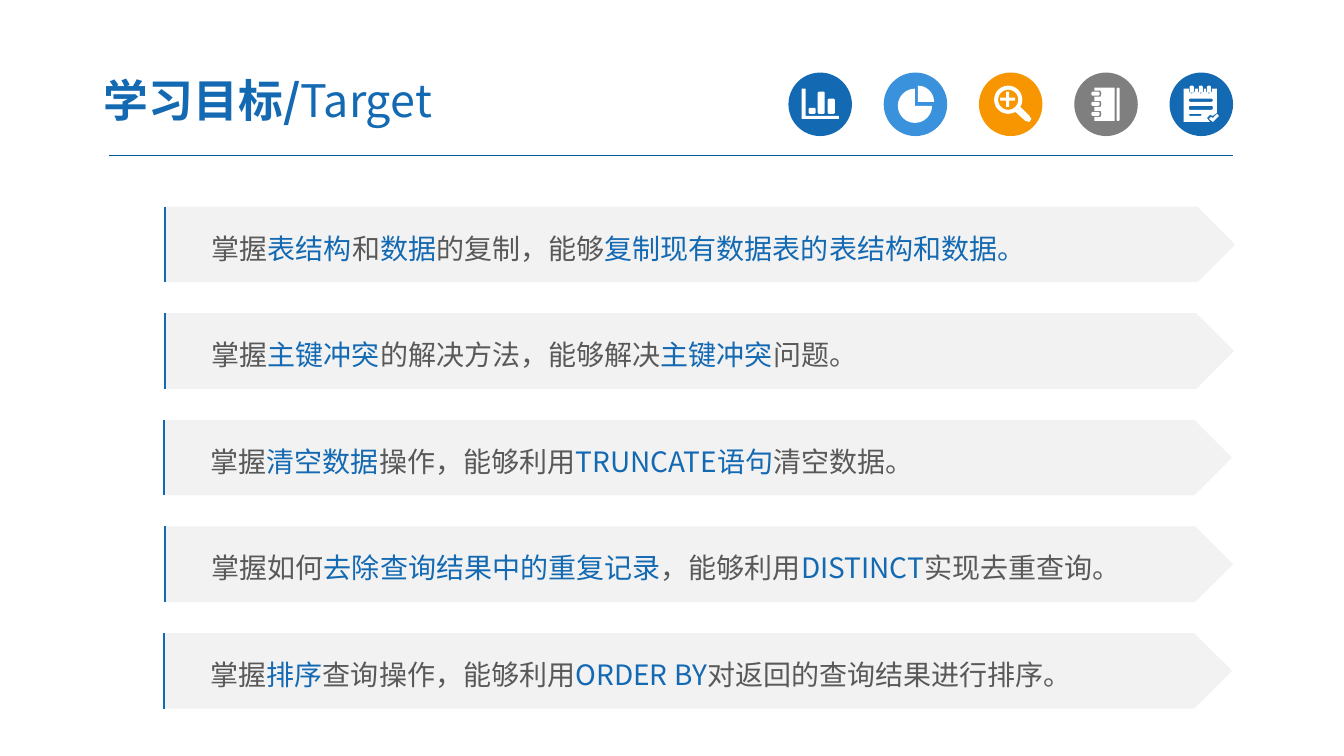
import math
import pptx
import pptx.util
import pptx.dml.color
import pptx.enum.shapes
import pptx.enum.text
import pptx.oxml
import pptx.oxml.ns
from dataclasses import dataclass

Inches = pptx.util.Inches
Shape = pptx.enum.shapes.MSO_SHAPE
Straight = pptx.enum.shapes.MSO_CONNECTOR.STRAIGHT
Align = pptx.enum.text.PP_ALIGN
Anchor = pptx.enum.text.MSO_ANCHOR


@dataclass(frozen=True)
class Theme:
    font: str = "Noto Sans CJK SC"
    blue: str = "1369B2"
    sky: str = "3992DB"
    orange: str = "F79600"
    grey: str = "7F7F7F"
    ink: str = "595959"
    panel: str = "F2F2F2"
    white: str = "FFFFFF"
    rule: str = "005B9E"
    title_size: int = 32
    body_size: int = 20
    rule_width: float = 0.75
    accent_width: float = 1.5


theme = Theme()


def paint(solid, color):
    solid.shadow.inherit = False
    solid.fill.solid()
    solid.fill.fore_color.rgb = pptx.dml.color.RGBColor.from_string(color)
    solid.line.fill.background()


def add_span(para, text, size, color, bold=False):
    span = para.add_run()
    span.text = text
    span.font.size = pptx.util.Pt(size)
    span.font.bold = bold
    span.font.name = theme.font
    span.font.color.rgb = pptx.dml.color.RGBColor.from_string(color)
    east = pptx.oxml.parse_xml(f'<a:ea {pptx.oxml.ns.nsdecls("a")} typeface="{theme.font}"/>')
    span.font._element.find(pptx.oxml.ns.qn("a:latin")).addnext(east)


deck = pptx.Presentation()
deck.slide_width = Inches(13.33)
deck.slide_height = Inches(7.5)
page = deck.slides.add_slide(deck.slide_layouts[5])

title = page.shapes.title
title.left, title.top = Inches(0.9), Inches(0.63)
title.width, title.height = Inches(5.22), Inches(0.72)
frame = title.text_frame
frame.word_wrap = True
frame.auto_size = pptx.enum.text.MSO_AUTO_SIZE.NONE
frame.vertical_anchor = Anchor.MIDDLE
frame.margin_left = frame.margin_right = Inches(0.13)
frame.margin_top = frame.margin_bottom = Inches(0.07)
para = frame.paragraphs[0]
para.alignment = Align.LEFT
add_span(para, "学习目标/", theme.title_size, theme.blue, True)
add_span(para, "Target", theme.title_size, theme.blue)

notebook_body = [(0.2, 0.15), (0.4, 0.15), (0.4, 0.48), (0.2, 0.48)]
notebook_boxes = [(0.42, 0.15, 0.45, 0.48)]
for middle in (0.41, 0.31, 0.21):
    low, high = middle + 0.03, middle - 0.03
    notebook_body += [(0.2, low), (0.26, low), (0.27, middle), (0.26, high), (0.2, high)]
    notebook_boxes.append((0.17, middle - 0.02, 0.25, middle + 0.02))

checklist_body = [(0.14, 0.16)]
checklist_boxes = [(0.19, 0.26, 0.43, 0.29), (0.19, 0.33, 0.43, 0.37), (0.19, 0.41, 0.32, 0.43)]
for middle in (0.22, 0.31, 0.39):
    near, far = middle - 0.03, middle + 0.03
    checklist_body += [(near, 0.16), (near, 0.19), (middle, 0.21), (far, 0.19), (far, 0.16)]
    checklist_boxes.append((middle - 0.02, 0.13, middle + 0.02, 0.2))
checklist_body += [(0.47, 0.16), (0.47, 0.4), (0.43, 0.43), (0.4, 0.42), (0.37, 0.45)]
checklist_body += [(0.4, 0.49), (0.14, 0.49)]
tick = [(0.39, 0.46), (0.41, 0.44), (0.43, 0.45), (0.47, 0.41), (0.49, 0.43), (0.43, 0.49)]

axes = [(0.13, 0.16), (0.17, 0.16), (0.17, 0.43), (0.5, 0.43), (0.5, 0.46), (0.13, 0.46)]
bars = [(0.2, 0.35, 0.27, 0.41), (0.29, 0.19, 0.36, 0.41), (0.39, 0.26, 0.46, 0.41)]
handle = [(0.41, 0.34), (0.5, 0.43), (0.52, 0.46), (0.5, 0.49), (0.46, 0.48), (0.36, 0.39)]
plus = [(0.27, 0.19), (0.3, 0.19), (0.3, 0.25), (0.36, 0.25), (0.36, 0.28), (0.3, 0.28),
        (0.3, 0.34), (0.27, 0.34), (0.27, 0.28), (0.21, 0.28), (0.21, 0.25), (0.27, 0.25)]

badges = [
    (theme.blue, [axes], bars, []),
    (theme.sky, [], [], [(0.31, 0.33, 0.17, 0, 270), (0.34, 0.29, 0.16, 270, 360)]),
    (theme.orange, [handle, plus], [], [(0.29, 0.27, 0.14, 0, 360), (0.29, 0.27, 0.1, 0, 360)]),
    (theme.grey, [notebook_body], notebook_boxes, []),
    (theme.blue, [checklist_body, tick], checklist_boxes, []),
]
badge_left, badge_top, badge_size, corner = 7.82, 0.72, 0.63, 0.01
badge_pitch = (11.6 - badge_left) / (len(badges) - 1)
for column, (color, outlines, boxes, arcs) in enumerate(badges):
    left = badge_left + column * badge_pitch
    badge = page.shapes.add_group_shape()
    disc = badge.shapes.add_shape(
        Shape.OVAL, Inches(left), Inches(badge_top), Inches(badge_size), Inches(badge_size))
    paint(disc, color)

    contours = list(outlines)
    for x1, y1, x2, y2 in boxes:
        contours.append([
            (x1 + corner, y1), (x2 - corner, y1), (x2, y1 + corner), (x2, y2 - corner),
            (x2 - corner, y2), (x1 + corner, y2), (x1, y2 - corner), (x1, y1 + corner)])
    for x, y, radius, start, end in arcs:
        angles = [math.radians(angle) for angle in range(start, end + 1, 15)]
        curve = [(x + radius * math.cos(angle), y + radius * math.sin(angle)) for angle in angles]
        contours.append(curve if end - start == 360 else [(x, y)] + curve)

    builder = None
    for contour in contours:
        points = [(Inches(left + x), Inches(badge_top + y)) for x, y in contour]
        if builder is None:
            builder = badge.shapes.build_freeform(*points[0])
        else:
            builder.move_to(*points[0])
        builder.add_line_segments(points[1:], close=True)
    paint(builder.convert_to_shape(), theme.white)

goals = [
    (1.63, 12.25, ["掌握", "表结构", "和", "数据", "的复制，能够", "复制现有数据表的表结构和数据。"]),
    (1.63, 12.24, ["掌握", "主键冲突", "的解决方法，能够解决", "主键冲突", "问题。"]),
    (1.62, 12.22, ["掌握", "清空数据", "操作，能够利用", "TRUNCATE语句", "清空数据。"]),
    (1.63, 12.23, ["掌握如何", "去除查询结果中的重复记录", "，能够利用", "DISTINCT", "实现去重查询。"]),
    (1.62, 12.22, ["掌握", "排序", "查询操作，能够利用", "ORDER BY", "对返回的查询结果进行排序。"]),
]
goal_top, goal_height = 2.05, 0.75
goal_pitch = (6.28 - goal_top) / (len(goals) - 1)
strokes = [(1.08, 1.54, 12.23, 1.54, theme.rule, theme.rule_width)]
for row, (left, tip, pieces) in enumerate(goals):
    top = goal_top + row * goal_pitch
    goal = page.shapes.add_shape(
        Shape.PENTAGON, Inches(left), Inches(top), Inches(tip - left), Inches(goal_height))
    paint(goal, theme.panel)
    frame = goal.text_frame
    frame.word_wrap = True
    frame.vertical_anchor = Anchor.MIDDLE
    frame.margin_left = Inches(0.47)
    para = frame.paragraphs[0]
    para.alignment = Align.LEFT
    para.line_spacing = 1.2
    for index, piece in enumerate(pieces):
        add_span(para, piece, theme.body_size, theme.blue if index % 2 else theme.ink)
    edge = left + 0.01
    strokes.append((edge, top, edge, top + goal_height, theme.blue, theme.accent_width))

for x1, y1, x2, y2, color, width in strokes:
    stroke = page.shapes.add_connector(Straight, Inches(x1), Inches(y1), Inches(x2), Inches(y2))
    stroke.line.color.rgb = pptx.dml.color.RGBColor.from_string(color)
    stroke.line.width = pptx.util.Pt(width)
    stroke._element.spPr.append(pptx.oxml.parse_xml(f'<a:effectLst {pptx.oxml.ns.nsdecls("a")}/>'))

deck.save("out.pptx")
